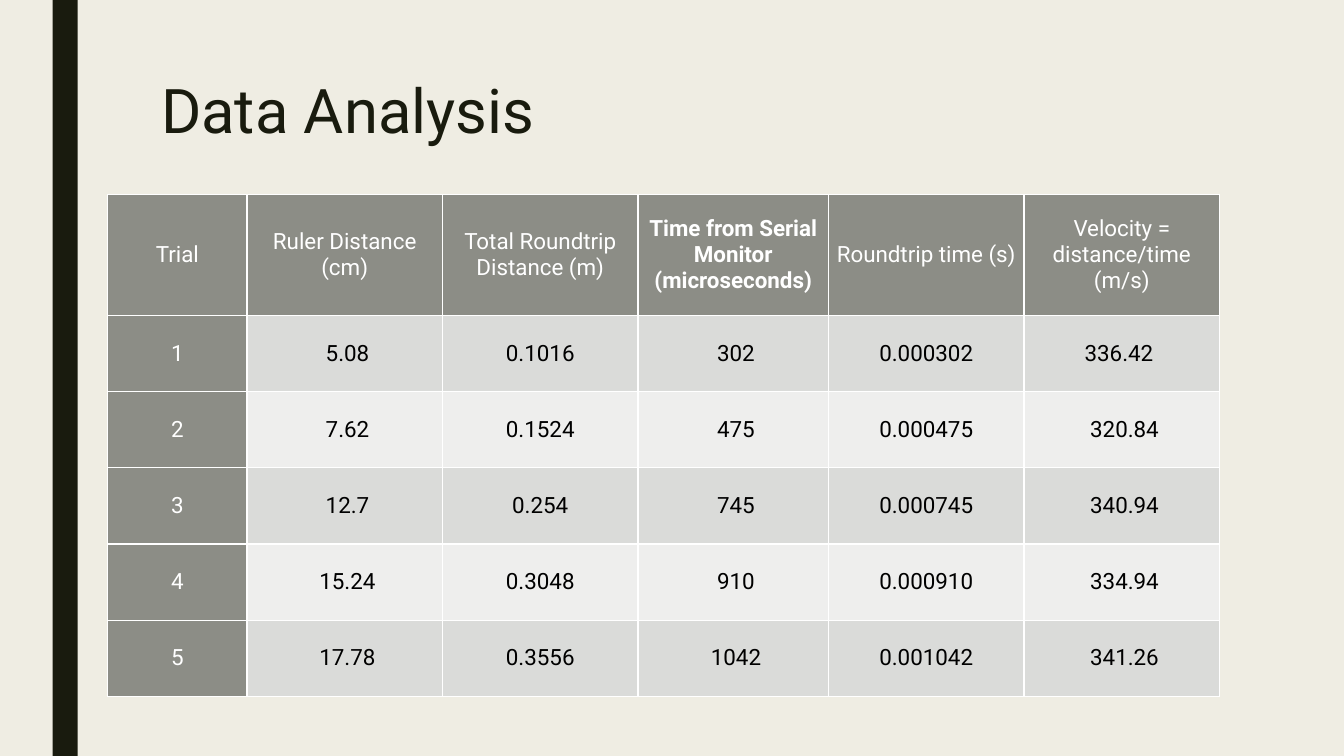
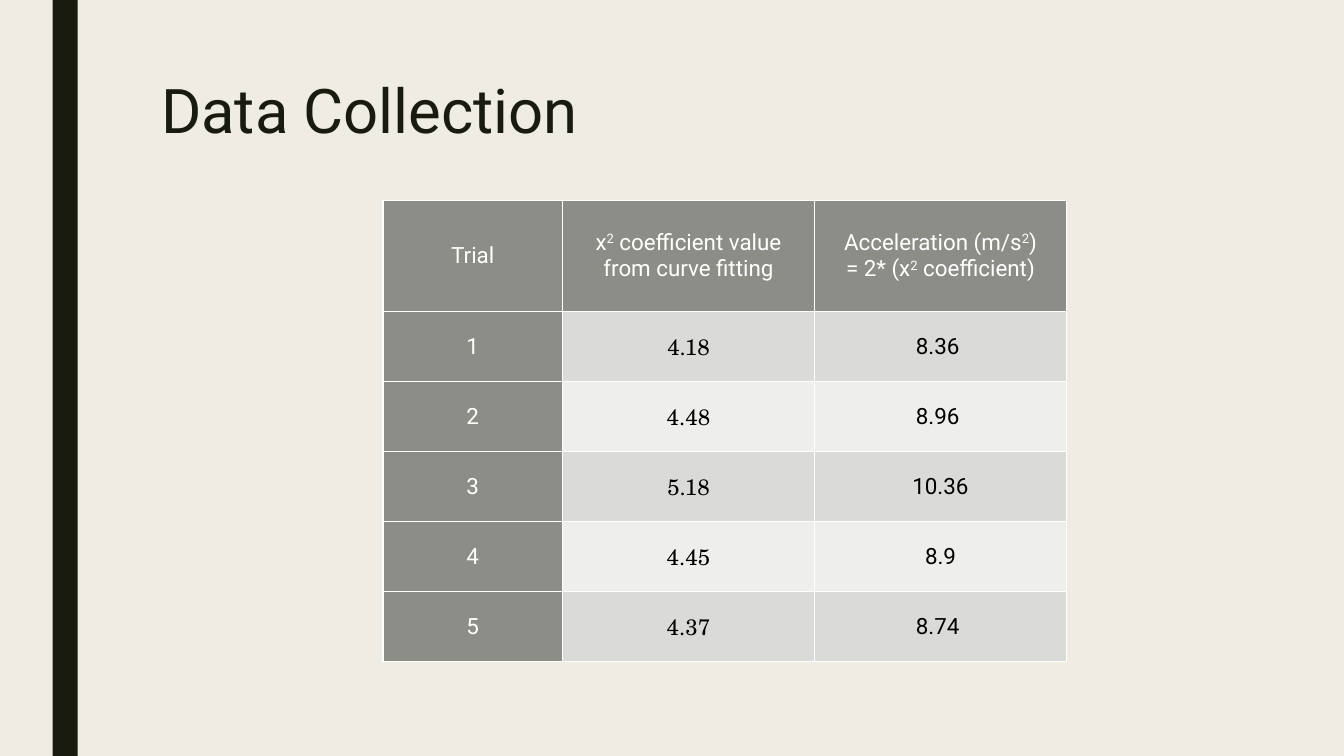
"""Build two lab report slides, each a title above a table of trials."""
from dataclasses import dataclass

import lxml.etree
import pptx
import pptx.dml.color
import pptx.enum.shapes
import pptx.enum.text
import pptx.oxml.ns
import pptx.util

BACKGROUND = "EFEDE3"
INK = "191B0E"
HEADER_FILL = "8C8D86"
BAND_FILLS = ("DADBD9", "EEEEED")
WHITE = "FFFFFF"
BLACK = "000000"
BODY_FONT = "Roboto"
SERIF_FONT = "TeX Gyre Schola"
SLIDE_WIDTH = 960
SLIDE_HEIGHT = 540


@dataclass(frozen=True)
class Column:
    header: str
    values: tuple[str, ...]
    width: float
    bold_header: bool = False
    font: str = BODY_FONT


@dataclass(frozen=True)
class TableSlide:
    title: str
    left: float
    top: float
    header_height: float
    row_height: float
    columns: tuple[Column, ...]


TRIALS = Column("Trial", ("1", "2", "3", "4", "5"), 99.4)

TABLE_SLIDES = (
    TableSlide("Data Analysis", 77, 139, 86.4, 54.4, (
        TRIALS,
        Column("Ruler Distance (cm)",
               (" 5.08", " 7.62", " 12.7", " 15.24", " 17.78"), 139.7),
        Column("Total Roundtrip Distance (m)",
               ("0.1016", "0.1524", "0.254", "0.3048", "0.3556"), 139.7),
        Column("Time from Serial Monitor (microseconds)",
               (" 302", " 475", " 745", " 910", " 1042"), 136, bold_header=True),
        Column("Roundtrip time (s)",
               ("0.000302", "0.000475", "0.000745", "0.000910", "0.001042"), 139.7),
        Column("Velocity = distance/time (m/s)",
               ("336.42 ", " 320.84", " 340.94", " 334.94", " 341.26"), 139.7),
    )),
    TableSlide("Data Collection", 273.6, 143.3, 79.2, 50, (
        Column(TRIALS.header, TRIALS.values, 128.2),
        Column("x^2^ coefficient value\nfrom curve fitting",
               ("4.18", "4.48", "5.18", "4.45", "4.37"), 180, font=SERIF_FONT),
        Column("Acceleration (m/s^2^)\n= 2* (x^2^ coefficient)",
               ("8.36 ", "8.96 ", "10.36", "8.9", "8.74 "), 180),
    )),
)


def points(value: float) -> pptx.util.Length:
    """Return a length given in points."""
    return pptx.util.Pt(value)


def set_fill(fill: pptx.dml.fill.FillFormat, color: str) -> None:
    """Make a fill solid in a hex colour."""
    fill.solid()
    fill.fore_color.rgb = pptx.dml.color.RGBColor.from_string(color)


def write_text(paragraph, text: str, *, size: float, color: str,
               font: str = BODY_FONT, bold: bool = False) -> None:
    """Write text with line breaks, raising the parts between carets."""
    for line_index, line in enumerate(text.split("\n")):
        if line_index:
            paragraph.add_line_break()
        for part_index, part in enumerate(line.split("^")):
            if not part:
                continue
            run = paragraph.add_run()
            run.text = part
            run.font.size = points(size)
            run.font.name = font
            run.font.bold = bold
            set_fill(run.font.fill, color)
            if part_index % 2:
                run.font._element.set("baseline", "30000")


def set_borders(cell, color: str, width: float) -> None:
    """Draw the four borders of a cell ahead of its fill."""
    properties = cell._tc.get_or_add_tcPr()
    for index, side in enumerate(("lnL", "lnR", "lnT", "lnB")):
        line = lxml.etree.Element(pptx.oxml.ns.qn(f"a:{side}"), w=str(int(points(width))))
        solid = lxml.etree.SubElement(line, pptx.oxml.ns.qn("a:solidFill"))
        lxml.etree.SubElement(solid, pptx.oxml.ns.qn("a:srgbClr"), val=color)
        properties.insert(index, line)


def draw_cell(cell, text: str, *, fill: str, color: str, font: str = BODY_FONT,
              bold: bool = False) -> None:
    """Fill, border and write one centred table cell."""
    set_fill(cell.fill, fill)
    set_borders(cell, WHITE, 1)
    cell.margin_left = cell.margin_right = points(5.4)
    cell.margin_top = cell.margin_bottom = 0
    cell.vertical_anchor = pptx.enum.text.MSO_ANCHOR.MIDDLE
    paragraph = cell.text_frame.paragraphs[0]
    paragraph.alignment = pptx.enum.text.PP_ALIGN.CENTER
    write_text(paragraph, text, size=16, color=color, font=font, bold=bold)


def draw_table(slide, content: TableSlide) -> None:
    """Draw the trials table with a header row and a header column."""
    row_count = len(content.columns[0].values)
    width = sum(column.width for column in content.columns)
    height = content.header_height + row_count * content.row_height
    table = slide.shapes.add_table(
        row_count + 1, len(content.columns), points(content.left), points(content.top),
        points(width), points(height)).table
    table.first_row = table.horz_banding = False
    for row_index, row in enumerate(table.rows):
        row.height = points(content.row_height if row_index else content.header_height)
    for column_index, column in enumerate(content.columns):
        table.columns[column_index].width = points(column.width)
        draw_cell(table.cell(0, column_index), column.header, fill=HEADER_FILL,
                  color=WHITE, bold=column.bold_header)
        for row_index, value in enumerate(column.values):
            fill = BAND_FILLS[row_index % 2] if column_index else HEADER_FILL
            draw_cell(table.cell(row_index + 1, column_index), value, fill=fill,
                      color=BLACK if column_index else WHITE, font=column.font)


def draw_side_band(slide) -> None:
    """Draw the dark vertical band at the left."""
    band = slide.shapes.add_shape(
        pptx.enum.shapes.MSO_SHAPE.RECTANGLE, points(37.5), 0, points(18),
        points(SLIDE_HEIGHT))
    band.shadow.inherit = False
    set_fill(band.fill, INK)
    band.line.fill.background()


def draw_title(slide, title: str) -> None:
    """Write the slide title."""
    box = slide.shapes.add_textbox(points(108), points(54), points(756), points(116.6))
    box.text_frame.word_wrap = True
    paragraph = box.text_frame.paragraphs[0]
    paragraph.line_spacing = 0.89
    write_text(paragraph, title, size=44, color=INK)


def main() -> None:
    """Build and save the presentation."""
    presentation = pptx.Presentation()
    presentation.slide_width = points(SLIDE_WIDTH)
    presentation.slide_height = points(SLIDE_HEIGHT)
    set_fill(presentation.slide_master.background.fill, BACKGROUND)
    blank_layout = presentation.slide_layouts[6]
    for content in TABLE_SLIDES:
        slide = presentation.slides.add_slide(blank_layout)
        draw_side_band(slide)
        draw_title(slide, content.title)
        draw_table(slide, content)
    presentation.save("out.pptx")


if __name__ == "__main__":
    main()
